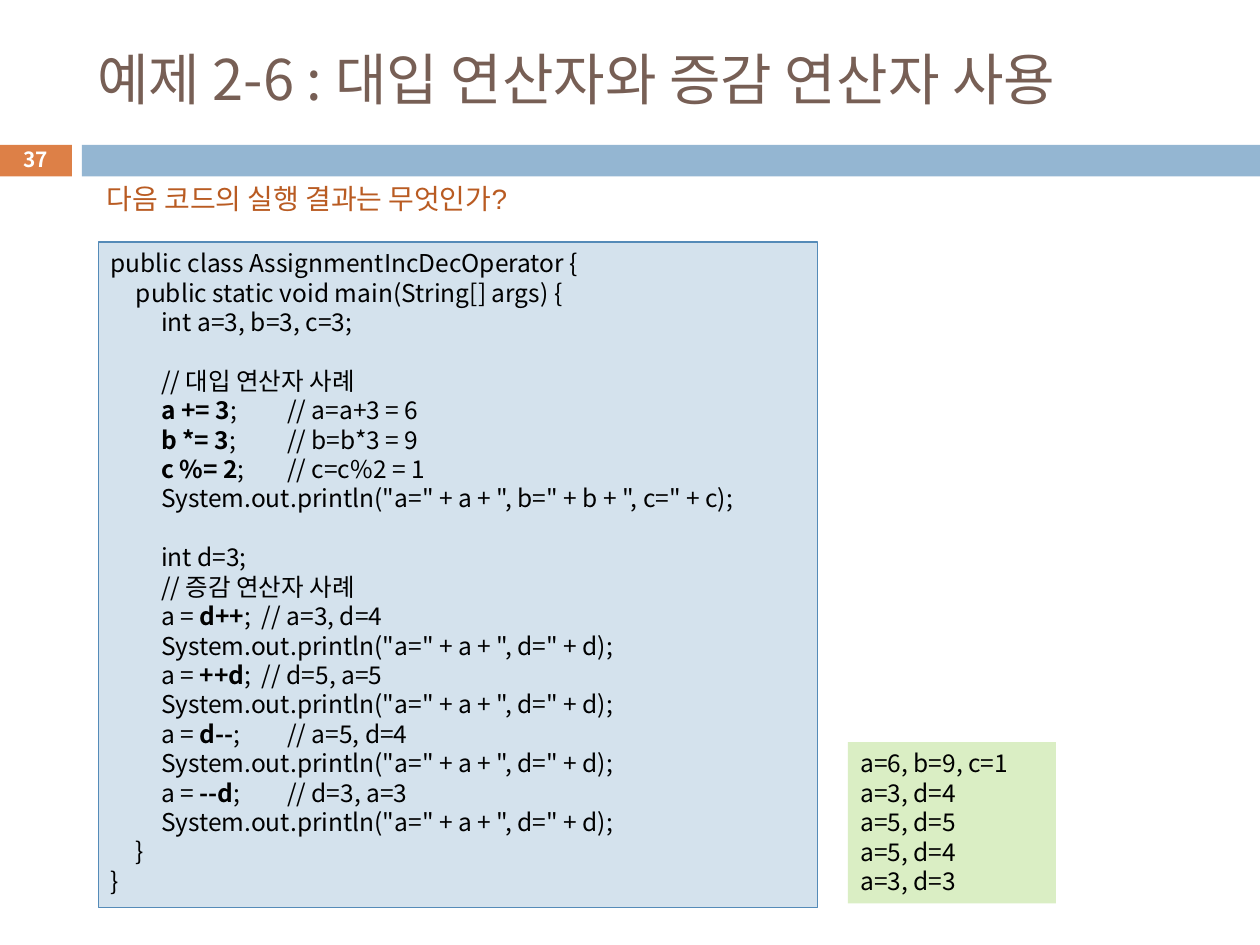
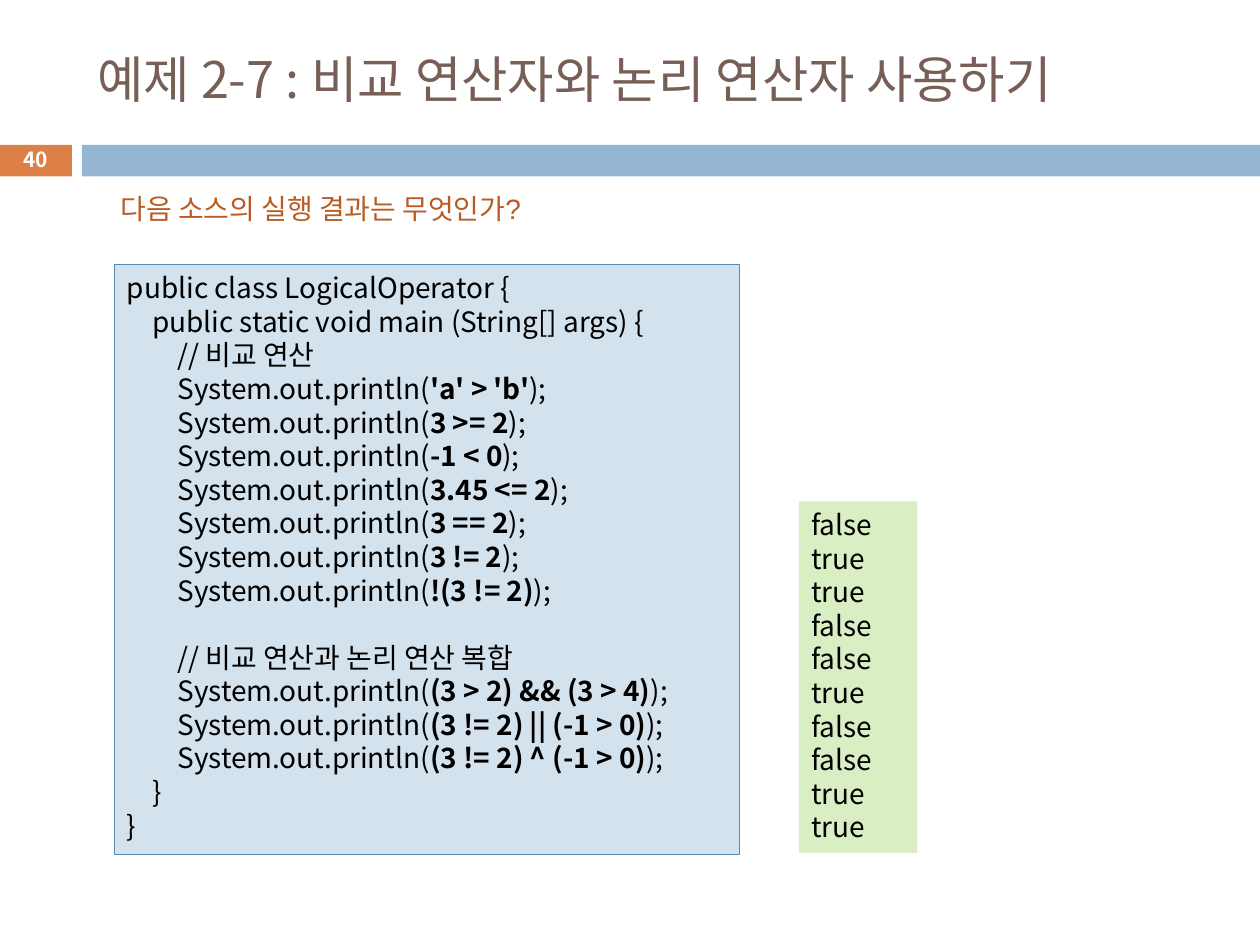
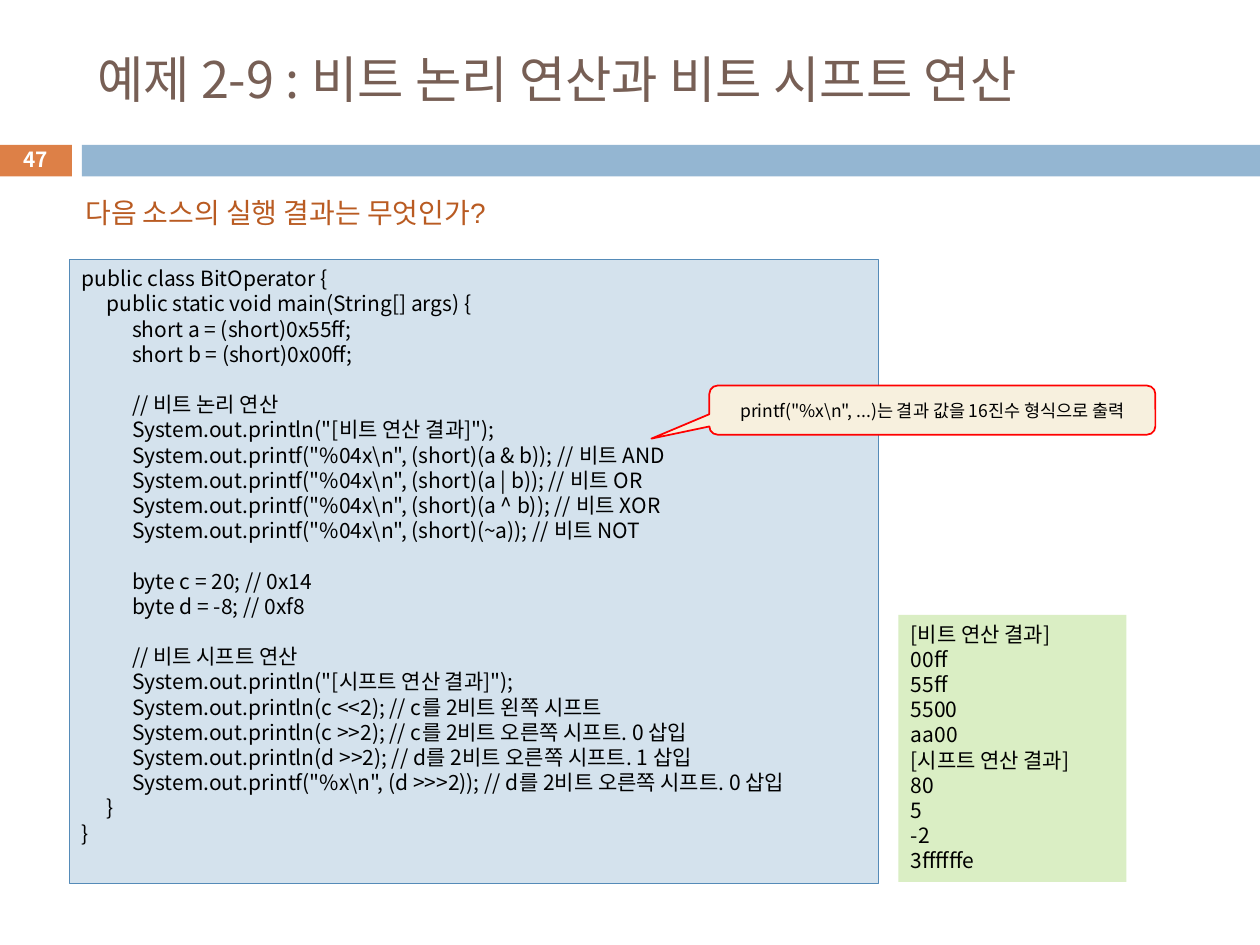
from dataclasses import dataclass

from lxml import etree
from pptx import Presentation
from pptx.dml.color import RGBColor
from pptx.enum.shapes import MSO_SHAPE
from pptx.enum.text import MSO_ANCHOR, MSO_AUTO_SIZE, PP_ALIGN
from pptx.oxml.ns import qn
from pptx.util import Inches, Pt

RECTANGLE = MSO_SHAPE.RECTANGLE
CALLOUT = MSO_SHAPE.ROUNDED_RECTANGULAR_CALLOUT
TOP = MSO_ANCHOR.TOP
MIDDLE = MSO_ANCHOR.MIDDLE
LEFT = PP_ALIGN.LEFT
CENTER = PP_ALIGN.CENTER
NO_AUTOFIT = MSO_AUTO_SIZE.NONE


@dataclass(frozen=True)
class Theme:
    font: str = "Noto Sans CJK KR"
    question_font: str = "Arial"
    title_color: str = "775F55"
    question_color: str = "B95B22"
    code_color: str = "000000"
    number_color: str = "FFFFFF"
    number_band: str = "DD8047"
    title_band: str = "94B6D2"
    code_fill: str = "D4E2ED"
    code_line: str = "558BB8"
    output_fill: str = "DAEEC4"
    callout_fill: str = "F7F0DE"
    callout_line: str = "FF0000"
    question_size: float = 16
    number_size: float = 11.9
    callout_size: float = 10
    line_height: float = 1.2
    tab_step: float = 0.2
    tab_count: int = 7


THEME = Theme()

PRINT_A_D = '\t\tSystem.out.println("a=" + a + ", d=" + d);'

ASSIGNMENT_CODE = [
    "public class AssignmentIncDecOperator {",
    "\tpublic static void main(String[] args) {",
    "\t\tint a=3, b=3, c=3;",
    "",
    "\t\t// 대입 연산자 사례",
    "\t\t**a += 3**; \t\t// a=a+3 = 6",
    "\t\t**b *= 3**; \t\t// b=b*3 = 9",
    "\t\t**c %= 2**; \t\t// c=c%2 = 1",
    '\t\tSystem.out.println("a=" + a + ", b=" + b + ", c=" + c);',
    "",
    "\t\tint d=3;",
    "\t\t// 증감 연산자 사례",
    "\t\ta = **d++**; \t// a=3, d=4",
    PRINT_A_D,
    "\t\ta = **++d**; \t// d=5, a=5",
    PRINT_A_D,
    "\t\ta = **d--**; \t\t// a=5, d=4",
    PRINT_A_D,
    "\t\ta = **--d**; \t\t// d=3, a=3",
    PRINT_A_D,
    "\t}",
    "}",
]
ASSIGNMENT_OUTPUT = ["a=6, b=9, c=1", "a=3, d=4", "a=5, d=5", "a=5, d=4", "a=3, d=3"]


def print_lines(expressions):
    return [f"\t\tSystem.out.println(**{expression}**);" for expression in expressions]


LOGICAL_CODE = [
    "public class LogicalOperator {",
    "\tpublic static void main (String[] args) {",
    "\t\t// 비교 연산",
    *print_lines(["'a' > 'b'", "3 >= 2", "-1 < 0", "3.45 <= 2",
                  "3 == 2", "3 != 2", "!(3 != 2)"]),
    "",
    "\t\t// 비교 연산과 논리 연산 복합",
    *print_lines(["(3 > 2) && (3 > 4)", "(3 != 2) || (-1 > 0)", "(3 != 2) ^ (-1 > 0)"]),
    "\t}",
    "}",
]
LOGICAL_OUTPUT = ["false", "true", "true", "false", "false",
                  "true", "false", "false", "true", "true"]

BIT_CODE = [
    "public class BitOperator {",
    "\tpublic static void main(String[] args) {",
    "\t\tshort a = (short)0x55ff;",
    "\t\tshort b = (short)0x00ff;",
    "",
    "\t\t// 비트 논리 연산",
    '\t\tSystem.out.println("[비트 연산 결과]");',
    '\t\tSystem.out.printf("%04x\\n", (short)(a & b)); // 비트 AND',
    '\t\tSystem.out.printf("%04x\\n", (short)(a | b)); // 비트 OR',
    '\t\tSystem.out.printf("%04x\\n", (short)(a ^ b)); // 비트 XOR',
    '\t\tSystem.out.printf("%04x\\n", (short)(~a)); // 비트 NOT',
    "",
    "\t\tbyte c = 20; // 0x14",
    "\t\tbyte d = -8; // 0xf8",
    "",
    "\t\t// 비트 시프트 연산",
    '\t\tSystem.out.println("[시프트 연산 결과]");',
    "\t\tSystem.out.println(c <<2); // c를 2비트 왼쪽 시프트",
    "\t\tSystem.out.println(c >>2); // c를 2비트 오른쪽 시프트. 0 삽입",
    "\t\tSystem.out.println(d >>2); // d를 2비트 오른쪽 시프트. 1 삽입",
    '\t\tSystem.out.printf("%x\\n", (d >>>2)); // d를 2비트 오른쪽 시프트. 0 삽입',
    "\t}",
    "}",
]
BIT_OUTPUT = ["[비트 연산 결과]", "00ff", "55ff", "5500", "aa00",
              "[시프트 연산 결과]", "80", "5", "-2", "3ffffffe"]


def to_inches(box):
    return [Inches(length) for length in box]


def add_run(paragraph, text, size, color, font=THEME.font, bold=False):
    run = paragraph.add_run()
    run.text = text
    run.font.size = Pt(size)
    run.font.name = font
    run.font.bold = bold
    run.font.color.rgb = RGBColor.from_string(color)
    east_asian = etree.SubElement(run.font._element, qn("a:ea"))
    east_asian.set("typeface", THEME.font)


def prepare_frame(shape, anchor):
    frame = shape.text_frame
    frame.word_wrap = True
    frame.auto_size = NO_AUTOFIT
    frame.vertical_anchor = anchor
    return frame


def write_line(shape, text, size, color, font=THEME.font, bold=False, alignment=LEFT):
    paragraph = prepare_frame(shape, MIDDLE).paragraphs[0]
    paragraph.alignment = alignment
    add_run(paragraph, text, size, color, font, bold)


def add_tab_stops(paragraph):
    tab_list = etree.SubElement(paragraph._p.get_or_add_pPr(), qn("a:tabLst"))
    for index in range(1, THEME.tab_count + 1):
        tab = etree.SubElement(tab_list, qn("a:tab"))
        tab.set("pos", str(Inches(THEME.tab_step * index)))
        tab.set("algn", "l")


def write_code(shape, lines, size):
    frame = prepare_frame(shape, TOP)
    for index, line in enumerate(lines):
        paragraph = frame.add_paragraph() if index else frame.paragraphs[0]
        paragraph.alignment = LEFT
        paragraph.line_spacing = Pt(size * THEME.line_height)
        add_tab_stops(paragraph)
        for part_index, part in enumerate(line.split("**")):
            if part:
                add_run(paragraph, part, size, THEME.code_color, bold=part_index % 2 == 1)
        if not line:
            end_properties = etree.SubElement(paragraph._p, qn("a:endParaRPr"))
            end_properties.set("sz", str(size * 100))


def add_panel(slide, box, fill, line=None, line_width=0.75, kind=RECTANGLE):
    shape = slide.shapes.add_shape(kind, *to_inches(box))
    shape.shadow.inherit = False
    shape.fill.solid()
    shape.fill.fore_color.rgb = RGBColor.from_string(fill)
    if line:
        shape.line.color.rgb = RGBColor.from_string(line)
        shape.line.width = Pt(line_width)
    else:
        shape.line.fill.background()
    return shape


def add_base_slide(presentation, title, title_size, number):
    slide = presentation.slides.add_slide(presentation.slide_layouts[5])
    heading = slide.shapes.title
    heading.left, heading.top, heading.width, heading.height = to_inches((0.67, 0.25, 8.92, 0.74))
    write_line(heading, title, title_size, THEME.title_color)
    add_panel(slide, (-0.01, 1.15, 0.58, 0.25), THEME.number_band)
    add_panel(slide, (0.65, 1.15, 9.35, 0.25), THEME.title_band)
    number_box = slide.shapes.add_textbox(*to_inches((-0.01, 1.13, 0.58, 0.27)))
    write_line(number_box, number, THEME.number_size, THEME.number_color,
               bold=True, alignment=CENTER)
    return slide


def add_question(slide, box, text):
    question = slide.shapes.add_textbox(*to_inches(box))
    write_line(question, text, THEME.question_size, THEME.question_color, THEME.question_font)


def add_code(slide, box, lines, size):
    write_code(add_panel(slide, box, THEME.code_fill, THEME.code_line), lines, size)


def add_output(slide, box, lines, size):
    write_code(add_panel(slide, box, THEME.output_fill), lines, size)


def add_callout(slide, box, text, adjustments):
    callout = add_panel(slide, box, THEME.callout_fill, THEME.callout_line, 1, CALLOUT)
    for index, value in enumerate(adjustments):
        callout.adjustments[index] = value
    write_line(callout, text, THEME.callout_size, THEME.code_color, alignment=CENTER)
    callout.text_frame.margin_left = callout.text_frame.margin_right = Inches(0.05)


def main():
    presentation = Presentation()
    presentation.slide_width = Inches(10)
    presentation.slide_height = Inches(7.5)

    slide = add_base_slide(presentation, "예제 2-6 : 대입 연산자와 증감 연산자 사용", 32, "37")
    add_code(slide, (0.78, 1.92, 5.71, 5.28), ASSIGNMENT_CODE, 14)
    add_question(slide, (0.75, 1.39, 3.76, 0.37), "다음 코드의 실행 결과는 무엇인가?")
    add_output(slide, (6.73, 5.89, 1.65, 1.28), ASSIGNMENT_OUTPUT, 14)

    slide = add_base_slide(presentation, "예제 2-7 : 비교 연산자와 논리 연산자 사용하기", 28.8, "40")
    add_code(slide, (0.91, 2.1, 4.96, 4.68), LOGICAL_CODE, 16)
    add_question(slide, (0.86, 1.47, 3.76, 0.37), "다음 소스의 실행 결과는 무엇인가?")
    add_output(slide, (6.34, 3.98, 0.94, 2.79), LOGICAL_OUTPUT, 16)

    slide = add_base_slide(presentation, "예제 2-9 : 비트 논리 연산과 비트 시프트 연산", 28.8, "47")
    add_code(slide, (0.55, 2.06, 6.42, 4.95), BIT_CODE, 12)
    add_question(slide, (0.58, 1.5, 5.76, 0.37), "다음 소스의 실행 결과는 무엇인가?")
    add_output(slide, (7.13, 4.88, 1.81, 2.12), BIT_OUTPUT, 12)
    add_callout(slide, (5.63, 3.06, 3.54, 0.39),
                'printf("%x\\n", ...)는 결과 값을 16진수 형식으로 출력', (-0.63, 0.58, 0.17))

    presentation.save("out.pptx")


if __name__ == "__main__":
    main()
